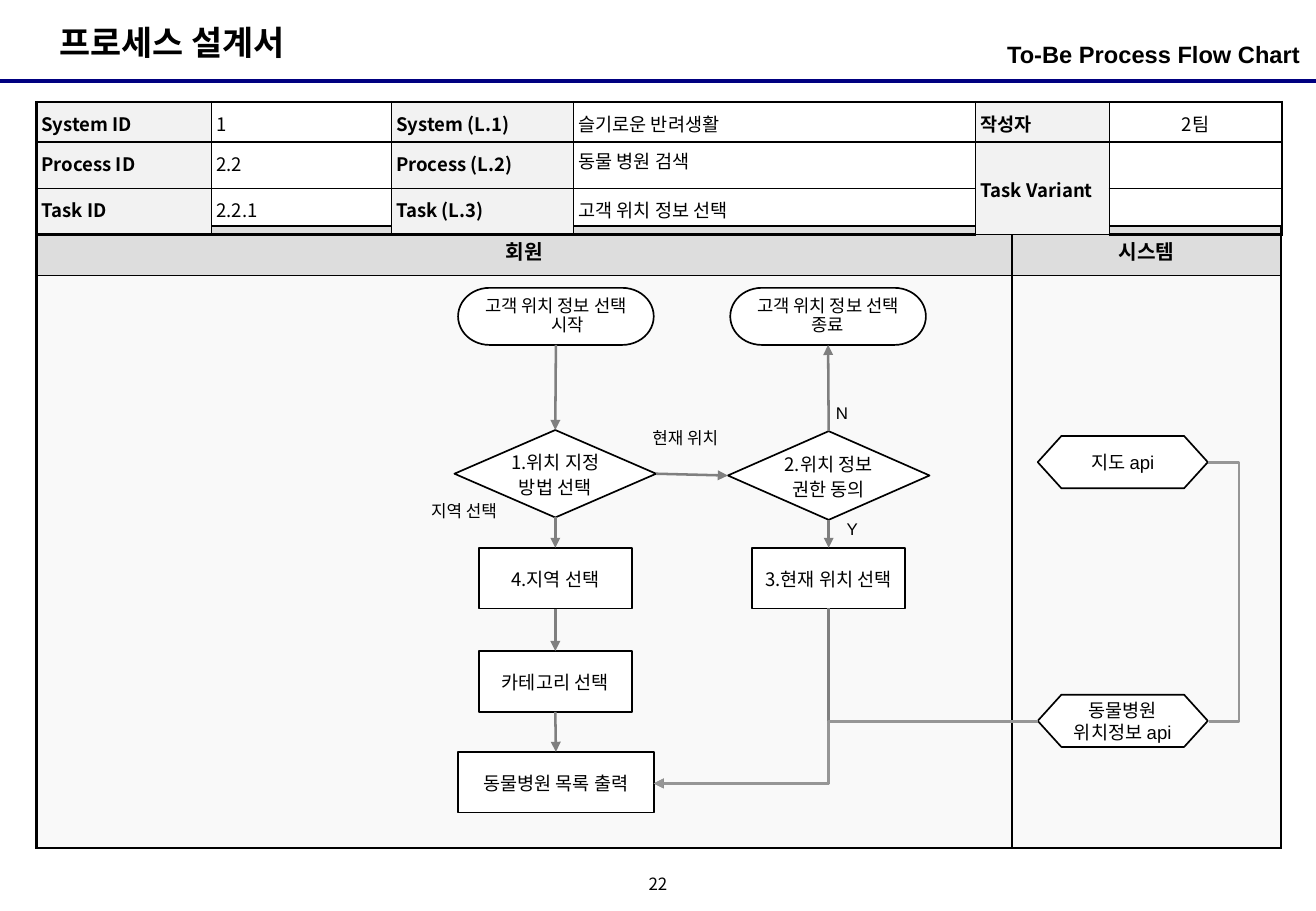
from pptx import Presentation
from pptx.dml.color import RGBColor
from pptx.enum.shapes import MSO_CONNECTOR as LINE, MSO_SHAPE as SHAPE
from pptx.enum.text import MSO_ANCHOR as ANCHOR, PP_ALIGN as ALIGN
from pptx.oxml.ns import qn
from pptx.util import Inches, Pt
from lxml.etree import SubElement

LATIN, KOREAN = "Arial", "Noto Sans CJK KR"
BLACK, WHITE, GRAY, LIGHT_GRAY = "000000", "FFFFFF", "7F7F7F", "969696"
TOP, LEFT, BOTTOM, RIGHT = range(4)


def color(value):
    return RGBColor.from_string(value)


def write(frame, text, size, font=LATIN, bold=False, align=ALIGN.LEFT, spacing=None, indent=0):
    frame.text = text
    for para in frame.paragraphs:
        para.alignment = align
        if spacing:
            para.line_spacing = spacing
        if indent:
            properties = para._p.get_or_add_pPr()
            properties.set("marL", str(Inches(indent)))
            properties.set("indent", str(-Inches(indent)))
        for span in para.runs:
            span.font.size = Pt(size)
            span.font.bold = bold
            span.font.color.rgb = color(BLACK)
            span.font.name = font
            SubElement(span._r.get_or_add_rPr(), qn("a:ea")).set("typeface", KOREAN)


def set_margins(target, across, down):
    target.margin_left = target.margin_right = Inches(across)
    target.margin_top = target.margin_bottom = Inches(down)


def add_text(page, place, text, size, margins=(0.1, 0.1), anchor=ANCHOR.TOP, **style):
    frame = page.shapes.add_textbox(*map(Inches, place)).text_frame
    frame.word_wrap = True
    frame.vertical_anchor = anchor
    set_margins(frame, *margins)
    write(frame, text, size, **style)


def add_node(page, kind, place, text, size=11, margins=(0.02, 0), **style):
    box = page.shapes.add_shape(kind, *map(Inches, place))
    box.shadow.inherit = False
    box.fill.solid()
    box.fill.fore_color.rgb = color(WHITE)
    box.line.color.rgb = color(BLACK)
    box.line.width = Pt(1)
    frame = box.text_frame
    frame.word_wrap = True
    frame.vertical_anchor = ANCHOR.MIDDLE
    set_margins(frame, *margins)
    write(frame, text, size, align=ALIGN.CENTER, **style)
    return box


def add_line(page, start, end, kind=LINE.STRAIGHT, shade=GRAY, width=1.5, arrow=None):
    line = page.shapes.add_connector(kind, *map(Inches, start + end))
    line.line.color.rgb = color(shade)
    line.line.width = Pt(width)
    if arrow:
        SubElement(line.line._get_or_add_ln(), qn(arrow)).set("type", "triangle")
    SubElement(line._element.spPr, qn("a:effectLst"))
    return line


def join(page, source, source_side, target, target_side):
    line = add_line(page, (0, 0), (0, 0), arrow="a:tailEnd")
    line.begin_connect(source, source_side)
    line.end_connect(target, target_side)


def set_bend(line, percent):
    guides = line._element.spPr.find(qn("a:prstGeom")).get_or_add_avLst()
    guide = SubElement(guides, qn("a:gd"))
    guide.set("name", "adj1")
    guide.set("fmla", f"val {round(percent * 1000)}")


def add_grid(page, left, top, columns, rows):
    frame = page.shapes.add_table(len(rows), len(columns), Inches(left), Inches(top),
                                  Inches(sum(columns)), Inches(sum(rows)))
    grid = frame.table
    grid.first_row = grid.horz_banding = False
    for column, width in zip(grid.columns, columns):
        column.width = Inches(width)
    for row, height in zip(grid.rows, rows):
        row.height = Inches(height)
    return grid


def style_cell(cell, borders, fill=None):
    """Borders are widths in points: left, right, top, bottom."""
    properties = cell._tc.get_or_add_tcPr()
    for side, width in zip("LRTB", borders):
        edge = SubElement(properties, qn(f"a:ln{side}"))
        edge.set("w", str(Pt(width)))
        paint = SubElement(edge, qn("a:solidFill"))
        SubElement(paint, qn("a:srgbClr")).set("val", BLACK)
    if fill:
        cell.fill.solid()
        cell.fill.fore_color.rgb = color(fill)
    else:
        cell.fill.background()


def add_lanes(page):
    lanes = add_grid(page, 0.3, 1.86, [8.03, 2.21], [0.41, 4.71])
    for index, name in enumerate(["회원", "시스템"]):
        header, body = lanes.cell(0, index), lanes.cell(1, index)
        header.vertical_anchor = ANCHOR.MIDDLE
        write(header.text_frame, name, 12, bold=True, align=ALIGN.CENTER)
        style_cell(header, (1.5, 1.5, 1.5, 0.75), "DDDDDD")
        style_cell(body, (1.5, 1.5, 0.75, 1.5), "F9F9F9")


def add_process_info(page):
    rows = [
        ["System ID", "1", "System (L.1)", "슬기로운 반려생활", "작성자", "2팀"],
        ["Process ID", "2.2", "Process (L.2)", "동물 병원 검색", "Task Variant", ""],
        ["Task ID", "2.2.1", "Task (L.3)", "고객 위치 정보 선택", "", ""],
    ]
    info = add_grid(page, 0.3, 0.84, [1.44, 1.48, 1.5, 3.31, 1.1, 1.42], [0.33, 0.36, 0.36])
    last_row, last_column = len(rows) - 1, len(rows[0]) - 1
    for r, row in enumerate(rows):
        for c, text in enumerate(row):
            cell = info.cell(r, c)
            is_label = c % 2 == 0
            set_margins(cell, 0.04, 0.04)
            cell.vertical_anchor = ANCHOR.MIDDLE if c >= 4 else ANCHOR.TOP
            if text:
                write(cell.text_frame, text, 11, font=KOREAN, bold=is_label,
                      align=ALIGN.CENTER if c == last_column else ALIGN.LEFT,
                      spacing=1.0 if (r, c) == (1, 3) else 1.1)
            outer = (c == 0, c == last_column, r == 0, r == last_row)
            style_cell(cell, [1.5 if edge else 1 for edge in outer],
                       "F2F2F2" if is_label else None)
    info.cell(1, 4).merge(info.cell(2, 4))


def add_flow(page):
    # Start and end
    terminal = dict(size=10.5, spacing=0.9, indent=0.19)
    start = add_node(page, SHAPE.FLOWCHART_TERMINATOR, (3.77, 2.37, 1.61, 0.47),
                     "고객 위치 정보 선택 시작", **terminal)
    finish = add_node(page, SHAPE.FLOWCHART_TERMINATOR, (6.01, 2.37, 1.61, 0.47),
                      "고객 위치 정보 선택\n종료", **terminal)

    # Decisions and steps
    step = dict(font=KOREAN, spacing=1.1)
    method = add_node(page, SHAPE.FLOWCHART_DECISION, (3.74, 3.54, 1.66, 0.72),
                      "1.위치 지정 방법 선택", **step)
    consent = add_node(page, SHAPE.FLOWCHART_DECISION, (5.99, 3.55, 1.66, 0.73),
                       "2.위치 정보 권한 동의", **step)
    region = add_node(page, SHAPE.RECTANGLE, (3.94, 4.51, 1.26, 0.5), "4.지역 선택", **step)
    current = add_node(page, SHAPE.RECTANGLE, (6.19, 4.51, 1.26, 0.5), "3.현재 위치 선택", **step)
    category = add_node(page, SHAPE.RECTANGLE, (3.94, 5.36, 1.26, 0.5), "카테고리 선택", **step)
    listing = add_node(page, SHAPE.RECTANGLE, (3.77, 6.19, 1.61, 0.5), "동물병원 목록 출력", **step)

    # System interfaces
    for top, text in [(3.59, "지도 api"), (5.72, "동물병원 위치정보 api")]:
        hexagon = add_node(page, SHAPE.HEXAGON, (8.54, top, 1.4, 0.43), text, margins=(0.04, 0.04))
        hexagon.adjustments[0] = 0.453

    # Straight arrows
    for source, target in [(start, method), (method, region), (region, category),
                           (category, listing), (consent, current)]:
        join(page, source, BOTTOM, target, TOP)
    join(page, method, RIGHT, consent, LEFT)
    join(page, consent, TOP, finish, BOTTOM)

    # Corner from the current place down to the list: a square turned a quarter
    corner = add_line(page, (5.38, 5.01), (6.82, 6.45), LINE.ELBOW, arrow="a:tailEnd")
    corner._element.spPr.find(qn("a:prstGeom")).set("prst", "bentConnector2")
    corner._element.spPr.find(qn("a:xfrm")).set("rot", str(90 * 60000))

    # Links to the system interfaces
    set_bend(add_line(page, (5.38, 6.45), (8.54, 5.94), LINE.ELBOW, LIGHT_GRAY,
                      arrow="a:headEnd"), 45.5)
    set_bend(add_line(page, (9.94, 3.81), (9.95, 5.94), LINE.ELBOW, LIGHT_GRAY), 2600)

    # Branch labels
    for left, top, width, text in [(3.45, 4.04, 0.82, "지역 선택"), (5.27, 3.44, 0.82, "현재 위치"),
                                   (6.87, 4.19, 0.44, "Y"), (6.78, 3.23, 0.44, "N")]:
        add_text(page, (left, top, width, 0.37), text, 10)


def main():
    deck = Presentation()
    deck.slide_width, deck.slide_height = Inches(10.83), Inches(7.5)
    page = deck.slides.add_slide(deck.slide_layouts[6])

    # Heading and page number
    add_line(page, (0, 0.67), (10.83, 0.67), shade="000080", width=2.25)
    add_text(page, (0.39, 0.13, 2.26, 0.44), "프로세스 설계서", 20, margins=(0.1, 0.05), bold=True)
    add_text(page, (7.39, 0.28, 3.31, 0.39), "To-Be Process Flow Chart", 14,
             margins=(0, 0.05), bold=True, align=ALIGN.RIGHT)
    add_text(page, (5.25, 7.17, 0.33, 0.25), "22", 10, margins=(0, 0), anchor=ANCHOR.MIDDLE,
             font=KOREAN, align=ALIGN.CENTER, spacing=0.8)

    add_lanes(page)
    add_process_info(page)
    add_flow(page)
    deck.save("out.pptx")


if __name__ == "__main__":
    main()
